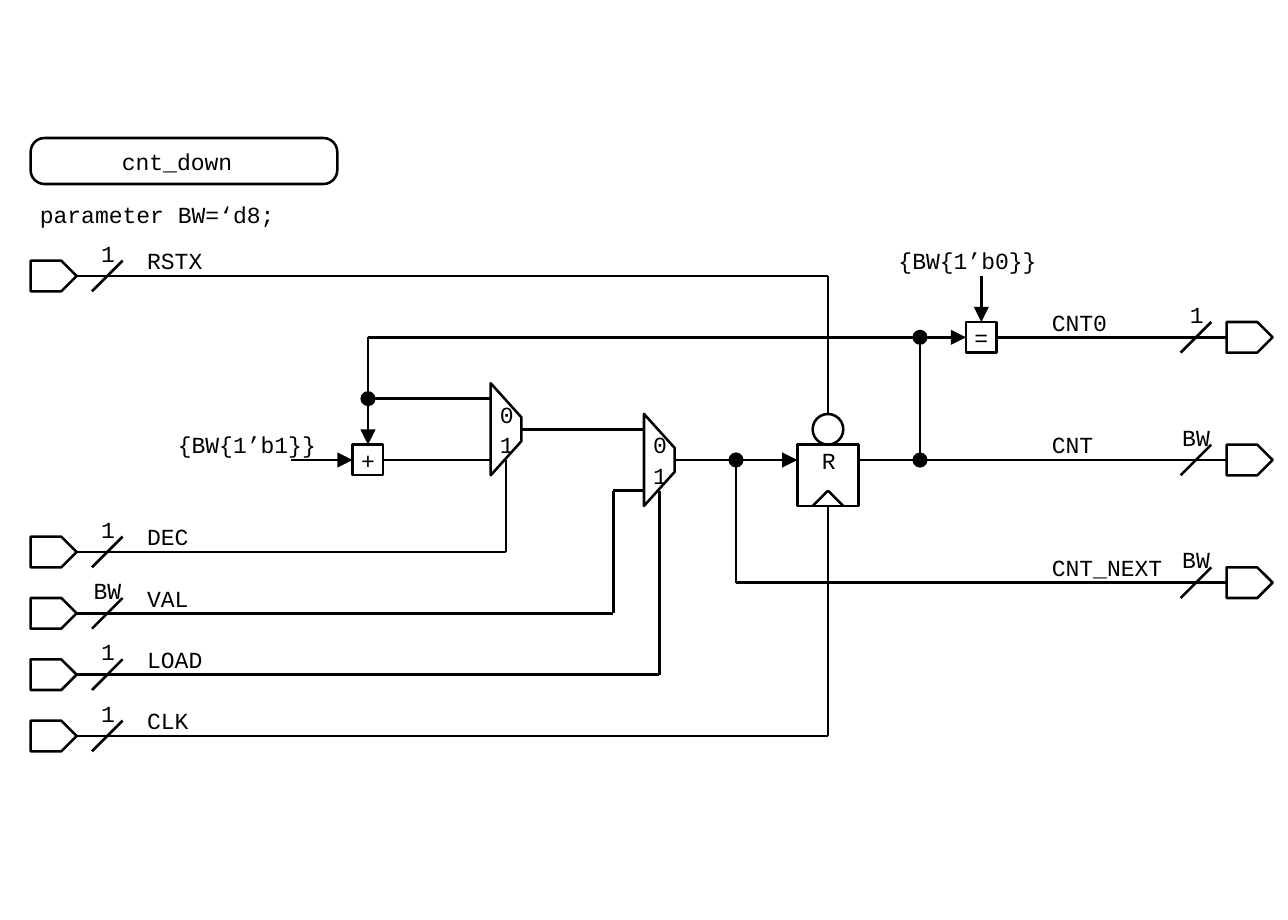
"""Draw the block diagram of the cnt_down counter on a grid of 84 columns by 60 rows."""
import pptx
import pptx.dml.color
import pptx.enum.shapes
import pptx.enum.text
import pptx.oxml.ns
import pptx.util
from lxml import etree

BLACK = pptx.dml.color.RGBColor(0, 0, 0)
SHAPE = pptx.enum.shapes.MSO_SHAPE
LEFT = pptx.enum.text.PP_ALIGN.LEFT
CENTER = pptx.enum.text.PP_ALIGN.CENTER

deck = pptx.Presentation()
deck.slide_width = pptx.util.Inches(7)
deck.slide_height = pptx.util.Inches(5)
slide = deck.slides.add_slide(deck.slide_layouts[6])
cell = deck.slide_width // 84

# Each block: preset, column, row, columns wide, rows high, text
blocks = [
    (SHAPE.ROUNDED_RECTANGLE, 2, 9, 20, 3, "cnt_down "),
    (SHAPE.RECTANGLE, 23, 29, 2, 2, "+"),
    (SHAPE.RECTANGLE, 63, 21, 2, 2, "="),
    (SHAPE.RECTANGLE, 52, 29, 4, 4, ""),
    (SHAPE.OVAL, 53, 27, 2, 2, ""),
]
# Each label: text, column, row, columns wide, rows high, alignment
labels = [
    ("parameter BW=‘d8;", 2, 13, 19, 2, LEFT),
    ("{BW{1’b1}}", 11, 28, 12, 2, LEFT),
    ("{BW{1’b0}}", 58, 16, 12, 2, LEFT),
    ("R", 53, 29, 2, 2, CENTER),
]
# Each wire: start column and row, end column and row, start mark, end mark
wires = [
    (5, 18, 54, 18, None, None),
    (54, 18, 54, 27, None, None),
    (5, 36, 33, 36, None, None),
    (33, 36, 33, 30, None, None),
    (5, 40, 40, 40, None, None),
    (40, 40, 40, 32, None, None),
    (40, 32, 42, 32, None, None),
    (5, 44, 43, 44, None, None),
    (43, 44, 43, 32, None, None),
    (5, 48, 54, 48, None, None),
    (54, 48, 54, 33, None, None),
    (24, 22, 24, 29, None, "triangle"),
    (24, 22, 63, 22, None, "triangle"),
    (24, 26, 32, 26, "oval", None),
    (19, 30, 23, 30, None, "triangle"),
    (25, 30, 32, 30, None, None),
    (34, 28, 42, 28, None, None),
    (44, 30, 52, 30, None, "triangle"),
    (48, 30, 48, 38, "oval", None),
    (48, 38, 80, 38, None, None),
    (56, 30, 80, 30, None, None),
    (60, 30, 60, 22, "oval", "oval"),
    (64, 18, 64, 21, None, "triangle"),
    (65, 22, 80, 22, None, None),
    (53, 33, 54, 32, None, None),
    (55, 33, 54, 32, None, None),
]

inputs = [("RSTX", "1", 18), ("DEC", "1", 36), ("VAL", "BW", 40), ("LOAD", "1", 44), ("CLK", "1", 48)]
outputs = [("CNT0", "1", 22), ("CNT", "BW", 30), ("CNT_NEXT", "BW", 38)]
for ports, port_col, slash_col, name_col in ((inputs, 2, 6, 9), (outputs, 80, 77, 68)):
    for signal, bits, row in ports:
        blocks.append((SHAPE.PENTAGON, port_col, row - 1, 3, 2, ""))
        wires.append((slash_col, row + 1, slash_col + 2, row - 1, None, None))
        labels.append((bits, slash_col + 1 - len(bits), row - 2, 2 * len(bits), 1, CENTER))
        labels.append((signal, name_col, row - 2, max(6, len(signal) + 1), 2, LEFT))

for mux_col, mux_row in ((32, 28), (42, 30)):
    blocks.append((SHAPE.TRAPEZOID, mux_col - 2, mux_row - 1, 6, 2, ""))
    for choice in range(2):
        labels.append((str(choice), mux_col, mux_row - 2 + 2 * choice, 2, 2, LEFT))

written = []
for preset, col, row, cols, rows, caption in blocks:
    block = slide.shapes.add_shape(preset, col * cell, row * cell, cols * cell, rows * cell)
    block.shadow.inherit = False
    block.fill.background()
    block.line.color.rgb = BLACK
    block.line.width = pptx.util.Pt(1)
    if preset == SHAPE.ROUNDED_RECTANGLE:
        block.adjustments[0] = 0.3
    if preset == SHAPE.TRAPEZOID:
        block.adjustments[0] = 1.11
        block.rotation = 90
    if caption:
        written.append((block, caption, CENTER, preset == SHAPE.ROUNDED_RECTANGLE))

for start_col, start_row, end_col, end_row, start_mark, end_mark in wires:
    wire = slide.shapes.add_connector(
        pptx.enum.shapes.MSO_CONNECTOR.STRAIGHT,
        start_col * cell, start_row * cell, end_col * cell, end_row * cell)
    wire.line.color.rgb = BLACK
    wire.line.width = pptx.util.Pt(1)
    for end, mark in (("a:headEnd", start_mark), ("a:tailEnd", end_mark)):
        if mark:
            etree.SubElement(wire.line._get_or_add_ln(), pptx.oxml.ns.qn(end), type=mark)
    etree.SubElement(wire._element.spPr, pptx.oxml.ns.qn("a:effectLst"))

for caption, col, row, cols, rows, align in labels:
    label = slide.shapes.add_textbox(col * cell, row * cell, cols * cell, rows * cell)
    written.append((label, caption, align, False))

for holder, caption, align, wraps in written:
    frame = holder.text_frame
    frame.word_wrap = wraps
    frame.vertical_anchor = pptx.enum.text.MSO_ANCHOR.MIDDLE
    frame.margin_left = frame.margin_right = pptx.util.Inches(0.05)
    frame.margin_top = frame.margin_bottom = pptx.util.Inches(0.05)
    line = frame.paragraphs[0]
    line.text = caption
    line.alignment = align
    line.font.name = "Courier New"
    line.font.size = pptx.util.Pt(9)
    line.font.color.rgb = BLACK

deck.save("out.pptx")
